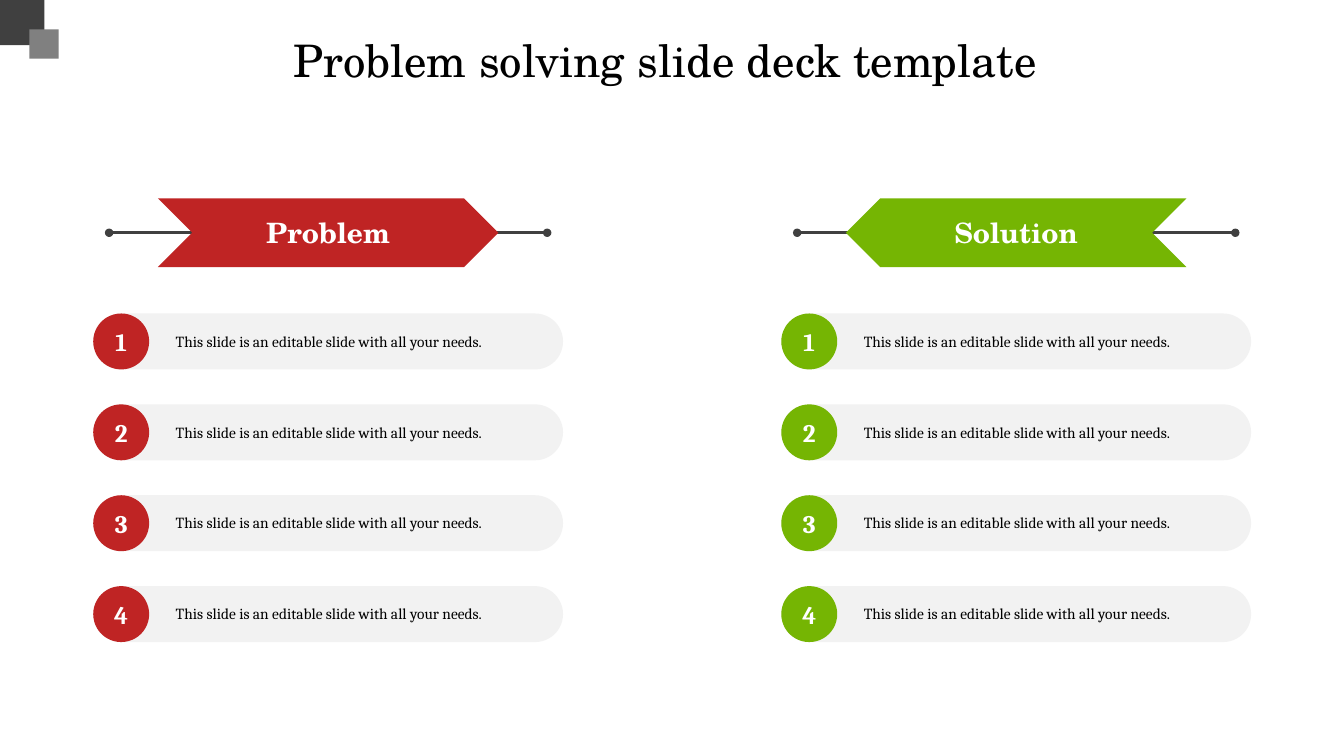
from dataclasses import dataclass

from lxml import etree
from pptx import Presentation
from pptx import util as u
from pptx.dml.color import RGBColor
from pptx.enum import shapes, text
from pptx.oxml.ns import qn

SHAPE = shapes.MSO_SHAPE


@dataclass(frozen=True)
class Theme:
    red: str = "BF2424"
    green: str = "75B503"
    dark: str = "404040"
    grey: str = "808080"
    pale: str = "F2F2F2"
    black: str = "000000"
    white: str = "FFFFFF"
    heading_font: str = "TeX Gyre Schola"
    body_font: str = "Cambria"
    title_size: int = 32
    banner_size: int = 20
    number_size: int = 18
    item_size: int = 11


THEME = Theme()
ITEMS = ["This slide is an editable slide with all your needs."] * 4


def write(sp, words, font, size, color, bold=False, centred=True):
    tf = sp.text_frame
    tf.text = words
    tf.word_wrap = True
    p = tf.paragraphs[0]
    p.alignment = text.PP_ALIGN.CENTER if centred else text.PP_ALIGN.LEFT
    r = p.runs[0]
    r.font.name = font
    r.font.size = u.Pt(size)
    r.font.bold = bold
    r.font.color.rgb = RGBColor.from_string(color)


def add_shape(s, kind, box, color):
    """Add a flat shape without outline; box is left, top, width, height in cm."""
    sp = s.shapes.add_shape(kind, *map(u.Cm, box))
    sp.shadow.inherit = False
    sp.fill.solid()
    sp.fill.fore_color.rgb = RGBColor.from_string(color)
    sp.line.fill.background()
    sp.text_frame.vertical_anchor = text.MSO_ANCHOR.MIDDLE
    return sp


def add_textbox(s, box, words, font, size, centred):
    sp = s.shapes.add_textbox(*map(u.Cm, box))
    write(sp, words, font, size, THEME.black, centred=centred)
    sp.text_frame.auto_size = text.MSO_AUTO_SIZE.SHAPE_TO_FIT_TEXT


def add_dotted_end_line(s, left, y, length):
    """Add a horizontal line with a round dot at each end."""
    line = s.shapes.add_connector(shapes.MSO_CONNECTOR.STRAIGHT,
                                  u.Cm(left), u.Cm(y), u.Cm(left + length), u.Cm(y))
    line.line.color.rgb = RGBColor.from_string(THEME.dark)
    line.line.width = u.Pt(2)
    ln = line.line._get_or_add_ln()
    for end in ("a:headEnd", "a:tailEnd"):
        etree.SubElement(ln, qn(end), type="oval")
    etree.SubElement(line._element.spPr, qn("a:effectLst"))


def add_banner(s, left, top, width, label, color, flipped):
    height, inset, line_inset = 1.73, 1.63, 0.4
    add_dotted_end_line(s, left + line_inset, top + height / 2, width - 2 * line_inset)
    sp = add_shape(s, SHAPE.CHEVRON, (left + inset, top, width - 2 * inset, height), color)
    if flipped:
        sp._element.spPr.get_or_add_xfrm().set("flipH", "1")
    write(sp, label, THEME.heading_font, THEME.banner_size, THEME.white, bold=True)


def add_item(s, left, top, width, number, words, color):
    height, text_height, text_inset = 1.41, 0.74, 1.83
    bar = add_shape(s, SHAPE.ROUNDED_RECTANGLE, (left, top, width, height), THEME.pale)
    bar.adjustments[0] = 0.5
    disc = add_shape(s, SHAPE.OVAL, (left, top, height, height), color)
    disc.text_frame.margin_left = disc.text_frame.margin_right = 0
    write(disc, str(number), THEME.body_font, THEME.number_size, THEME.white, bold=True)
    add_textbox(s, (left + text_inset, top + (height - text_height) / 2, 9.19, text_height),
                words, THEME.body_font, THEME.item_size, centred=False)


def add_column(s, left, top, width, label, color, flipped):
    first_row, pitch = 2.9, 2.29
    add_banner(s, left, top, width, label, color, flipped)
    for i, words in enumerate(ITEMS):
        add_item(s, left, top + first_row + i * pitch, width, i + 1, words, color)


def add_corner(s):
    add_shape(s, SHAPE.RECTANGLE, (0, 0, 1.12, 1.14), THEME.dark)
    add_shape(s, SHAPE.RECTANGLE, (0.74, 0.74, 0.74, 0.74), THEME.grey)


def main():
    prs = Presentation()
    prs.slide_width, prs.slide_height = u.Cm(33.87), u.Cm(19.05)
    s = prs.slides.add_slide(prs.slide_layouts[6])
    add_textbox(s, (5.05, 0.69, 23.44, 1.63), "Problem solving slide deck template",
                THEME.heading_font, THEME.title_size, centred=True)
    add_column(s, 2.35, 5, 11.84, "Problem", THEME.red, flipped=False)
    add_column(s, 19.69, 5, 11.84, "Solution", THEME.green, flipped=True)
    add_corner(s)
    prs.save("out.pptx")


if __name__ == "__main__":
    main()
